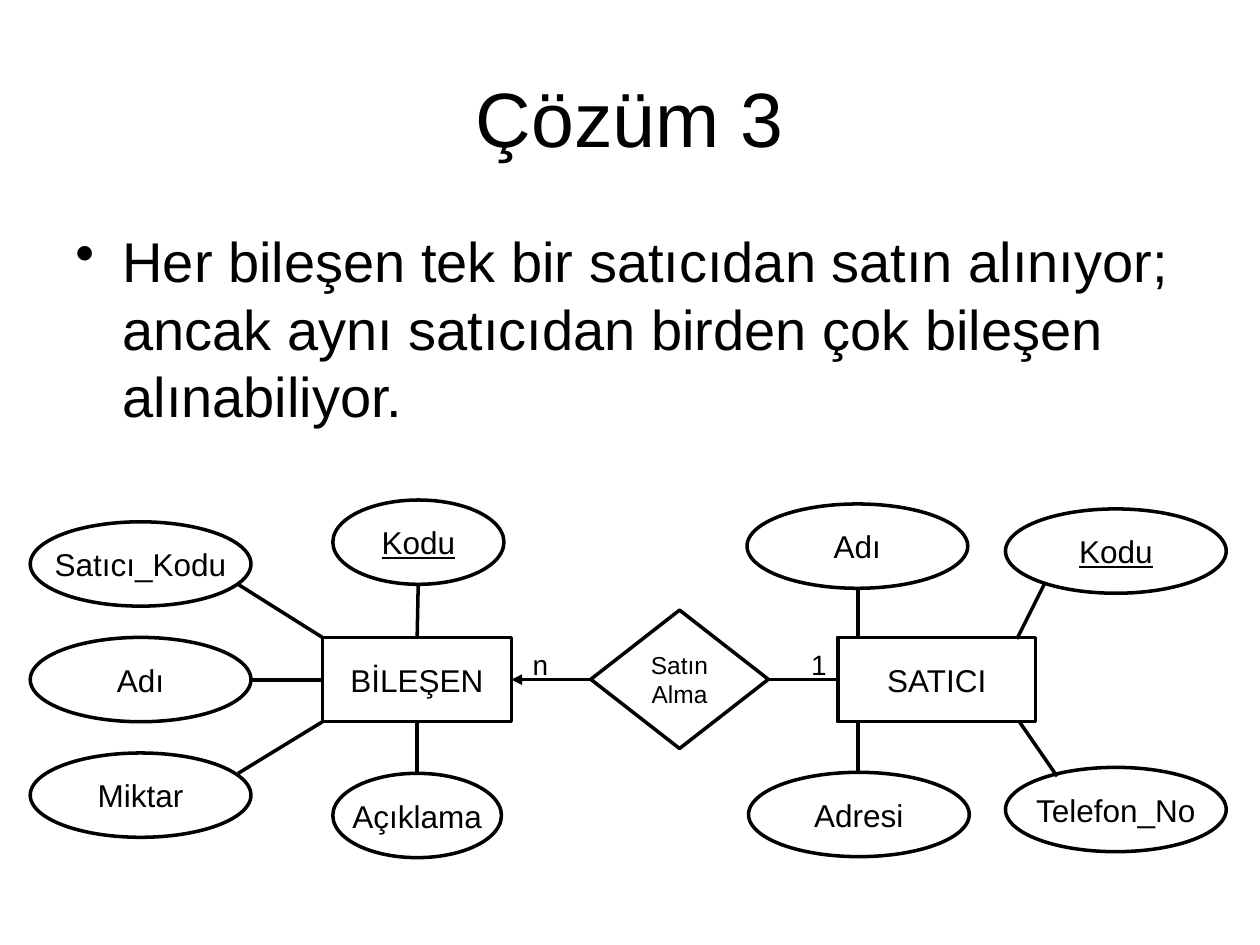
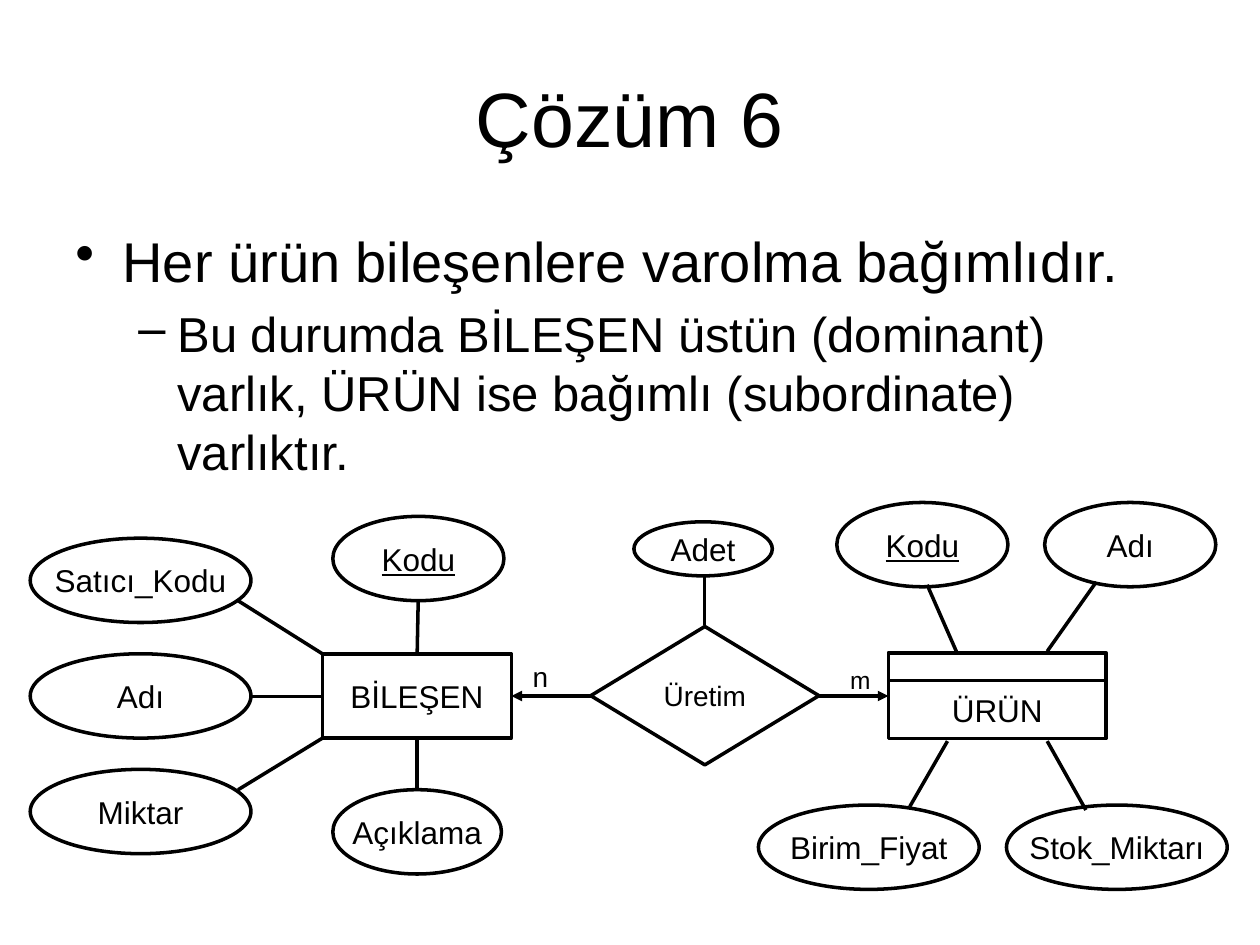
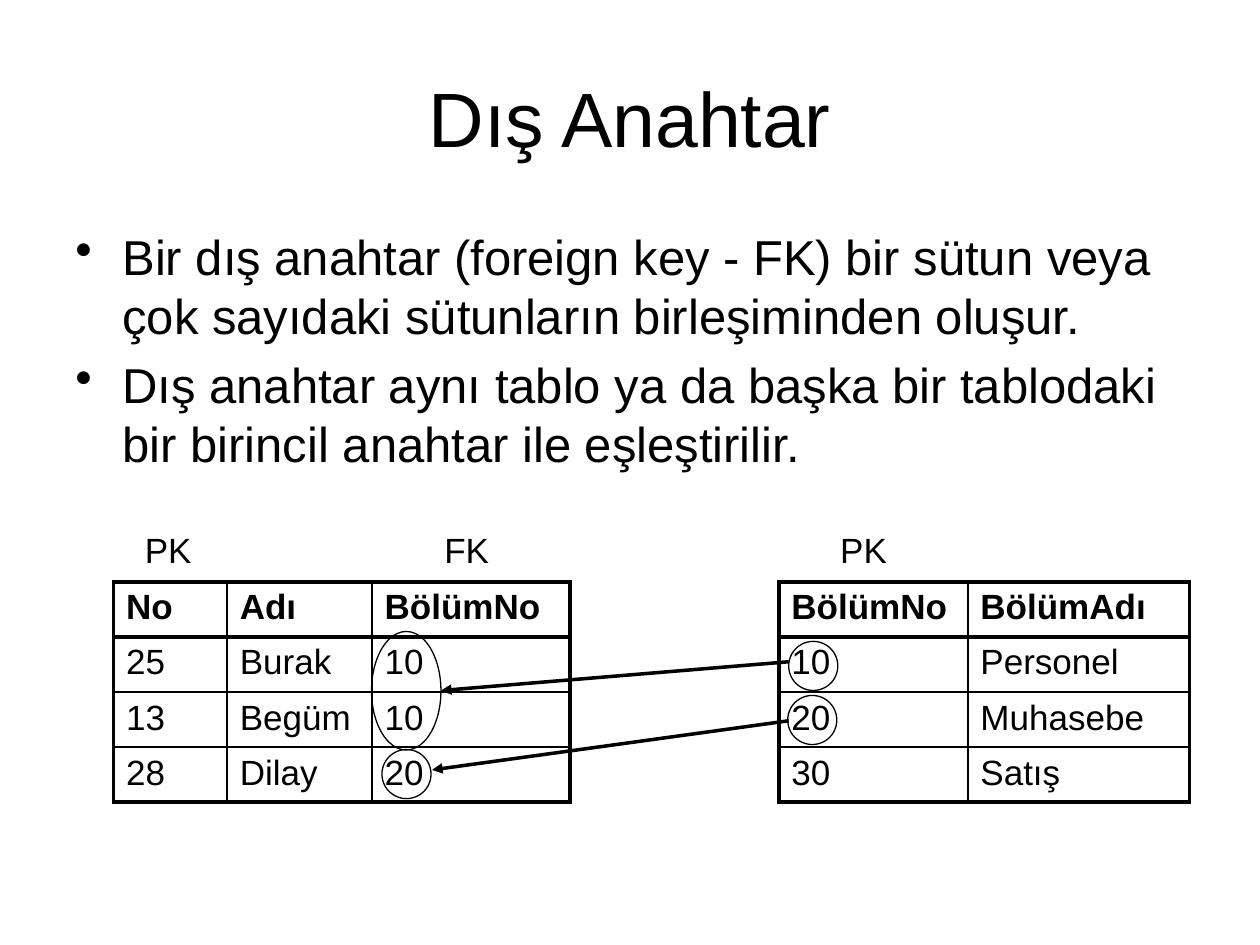
from lxml import etree
from pptx import Presentation
from pptx.dml.color import RGBColor
from pptx.enum import shapes, text
from pptx.oxml import ns
from pptx.util import Cm, Pt

BLACK = RGBColor(0x00, 0x00, 0x00)
FONT = "Arial"
KEY_ATTRIBUTE = "Kodu"
RECT = shapes.MSO_SHAPE.RECTANGLE
OVAL = shapes.MSO_SHAPE.OVAL
DIAMOND = shapes.MSO_SHAPE.DIAMOND
LEFT, CENTER = text.PP_ALIGN.LEFT, text.PP_ALIGN.CENTER
TOP, MIDDLE = text.MSO_ANCHOR.TOP, text.MSO_ANCHOR.MIDDLE


def add_box(page, kind, place, words="", size=18, align=CENTER, anchor=MIDDLE,
            wrap=False, weight=2):
    """Add an outlined shape, or a plain text box when kind is None."""
    place = [Cm(length) for length in place]
    if kind is None:
        box = page.shapes.add_textbox(*place)
    else:
        box = page.shapes.add_shape(kind, *place)
        box.shadow.inherit = False
        box.fill.background()
        box.line.color.rgb = BLACK
        box.line.width = Pt(weight)
    frame = box.text_frame
    frame.word_wrap = wrap
    frame.vertical_anchor = anchor
    if words:
        frame.text = words
        para = frame.paragraphs[0]
        para.alignment = align
        span = para.runs[0].font
        span.name, span.size, span.color.rgb = FONT, Pt(size), BLACK
        if words == KEY_ATTRIBUTE:
            span.underline = True
    return box


def add_line(page, start_x, start_y, end_x, end_y, arrow=False):
    line = page.shapes.add_connector(
        shapes.MSO_CONNECTOR.STRAIGHT, Cm(start_x), Cm(start_y), Cm(end_x), Cm(end_y))
    line.line.color.rgb = BLACK
    line.line.width = Pt(2)
    if arrow:
        etree.SubElement(line.line._ln, ns.qn("a:tailEnd"), type="triangle")
    etree.SubElement(line._element.spPr, ns.qn("a:effectLst"))


deck = Presentation()
deck.slide_width, deck.slide_height = Cm(25.4), Cm(19.05)

# Titles and bullets: (level, size, words)
contents = [
    ("Çözüm 3", 6.27, [
        (0, 32, "Her bileşen tek bir satıcıdan satın alınıyor; ancak aynı "
                "satıcıdan birden çok bileşen alınabiliyor.")]),
    ("Çözüm 6", 12.57, [
        (0, 32, "Her ürün bileşenlere varolma bağımlıdır."),
        (1, 28, "Bu durumda BİLEŞEN üstün (dominant) varlık, ÜRÜN ise bağımlı "
                "(subordinate) varlıktır.")]),
    ("Dış Anahtar", 6.07, [
        (0, 28, "Bir dış anahtar (foreign key - FK) bir sütun veya çok sayıdaki "
                "sütunların birleşiminden oluşur."),
        (0, 28, "Dış anahtar aynı tablo ya da başka bir tablodaki bir birincil "
                "anahtar ile eşleştirilir.")]),
]
bullet_styles = [("•", 0.95, -0.95), ("–", 2.06, -0.79)]  # mark, margin, indent

pages = []
for title, body_height, bullets in contents:
    page = deck.slides.add_slide(deck.slide_layouts[6])
    pages.append(page)
    add_box(page, None, (1.27, 0.76, 22.86, 3.18), title, 44, wrap=True)
    body = add_box(page, None, (1.27, 4.45, 22.86, body_height), anchor=TOP, wrap=True)
    for index, (level, size, words) in enumerate(bullets):
        frame = body.text_frame
        para = frame.add_paragraph() if index else frame.paragraphs[0]
        para.text = words
        para.level = level
        mark, margin, indent = bullet_styles[level]
        properties = para._p.get_or_add_pPr()
        properties.set("marL", str(Cm(margin)))
        properties.set("indent", str(Cm(indent)))
        etree.SubElement(properties, ns.qn("a:buChar"), char=mark)
        if index:
            para.space_before = Pt(size * 0.2)
        span = para.runs[0].font
        span.name, span.size, span.color.rgb = FONT, Pt(size), BLACK

supplier_page, product_page, key_page = pages

# BİLEŞEN entity with its attributes and relationship, shared by two slides
relationships = [
    (supplier_page, 12.85, "Satın Alma", 14, 3.58, False),
    (product_page, 13.18, "Üretim", 16, 4.6, True),
]
for page, top, relationship, size, width, arrow in relationships:
    add_box(page, RECT, (6.5, top, 3.81, 1.7), "BİLEŞEN")
    for row, attribute in enumerate(["Satıcı_Kodu", "Adı", "Miktar"]):
        add_box(page, OVAL, (0.61, top + 2.33 * (row - 1), 4.45, 1.7), attribute)
    add_box(page, OVAL, (6.71, top - 2.77, 3.45, 1.7), KEY_ATTRIBUTE)
    add_box(page, OVAL, (6.71, top + 2.74, 3.4, 1.7), "Açıklama")
    add_line(page, 4.8, top - 1.07, 6.5, top)
    add_line(page, 5.03, top + 0.86, 6.5, top + 0.86)
    add_line(page, 4.8, top + 2.74, 6.5, top + 1.7)
    add_line(page, 8.43, top - 1.05, 8.41, top - 0.03)
    add_line(page, 8.41, top + 1.72, 8.41, top + 2.72)
    add_box(page, DIAMOND, (11.91, top - 0.55, width, 2.79), relationship, size, wrap=True)
    middle, right = top + 0.85, 11.91 + width
    add_line(page, 11.91, middle, 10.31, middle, arrow=True)
    add_line(page, right, middle, right + 1.4, middle, arrow)

# Entities on the right-hand side and their attributes
right_shapes = [
    (supplier_page, [
        (RECT, (16.89, 12.85, 3.99, 1.7), "SATICI"),
        (OVAL, (15.06, 10.16, 4.45, 1.7), "Adı"),
        (OVAL, (20.27, 10.26, 4.45, 1.7), KEY_ATTRIBUTE),
        (OVAL, (15.09, 15.57, 4.45, 1.7), "Adresi"),
        (OVAL, (20.27, 15.47, 4.45, 1.7), "Telefon_No")]),
    (product_page, [
        (RECT, (17.91, 13.16, 4.39, 0.56), ""),
        (RECT, (17.91, 13.72, 4.39, 1.17), "ÜRÜN"),
        (OVAL, (16.87, 10.13, 3.45, 1.7), KEY_ATTRIBUTE),
        (OVAL, (21.06, 10.13, 3.45, 1.7), "Adı"),
        (OVAL, (15.29, 16.23, 4.45, 1.7), "Birim_Fiyat"),
        (OVAL, (20.29, 16.23, 4.45, 1.7), "Stok_Miktarı"),
        (OVAL, (12.78, 10.52, 2.79, 1.09), "Adet")]),
]
for page, entries in right_shapes:
    for kind, place, words in entries:
        add_box(page, kind, place, words)

right_lines = [
    (supplier_page, [
        (17.3, 11.86, 17.3, 12.88), (21.06, 11.76, 20.5, 12.88),
        (17.3, 14.55, 17.3, 15.57), (20.55, 14.55, 21.31, 15.65)]),
    (product_page, [
        (18.69, 11.79, 19.3, 13.18), (22.1, 11.73, 21.11, 13.13),
        (19.1, 14.94, 18.34, 16.26), (21.11, 14.94, 21.89, 16.33),
        (14.2, 11.61, 14.2, 12.6)]),
]
for page, ends in right_lines:
    for points in ends:
        add_line(page, *points)

cardinalities = [
    (supplier_page, 10.49, 12.93, "n", 16), (supplier_page, 16.1, 12.93, "1", 16),
    (product_page, 10.49, 13.18, "n", 16), (product_page, 16.89, 13.28, "m", 14),
]
for page, left, top, words, size in cardinalities:
    add_box(page, None, (left, top, 0.79, 0.94), words, size, LEFT, TOP, wrap=True)

# Tables joined by a foreign key
ROW_HEIGHT = 1.11
tables = [
    (2.29, [2.29, 2.92, 3.99], [
        ["No", "Adı", "BölümNo"], ["25", "Burak", "10"],
        ["13", "Begüm", "10"], ["28", "Dilay", "20"]]),
    (15.7, [3.81, 4.47], [
        ["BölümNo", "BölümAdı"], ["10", "Personel"],
        ["20", "Muhasebe"], ["30", "Satış"]]),
]
for left, widths, records in tables:
    table = key_page.shapes.add_table(
        len(records), len(widths), Cm(left), Cm(11.73),
        Cm(sum(widths)), Cm(ROW_HEIGHT * len(records))).table
    table.first_row = table.horz_banding = False
    for column, width in zip(table.columns, widths):
        column.width = Cm(width)
    last_row, last_column = len(records) - 1, len(widths) - 1
    for row, record in enumerate(records):
        table.rows[row].height = Cm(ROW_HEIGHT)
        for column, words in enumerate(record):
            cell = table.cell(row, column)
            cell.text = words
            span = cell.text_frame.paragraphs[0].runs[0].font
            span.name, span.size, span.color.rgb = FONT, Pt(20), BLACK
            span.bold = row == 0
            thick_edges = {
                "lnL": column == 0, "lnR": column == last_column,
                "lnT": row <= 1, "lnB": row in (0, last_row)}
            properties = cell._tc.get_or_add_tcPr()
            for edge, thick in thick_edges.items():
                border = etree.SubElement(
                    properties, ns.qn("a:" + edge), w=str(Pt(2.25 if thick else 1)))
                fill = etree.SubElement(border, ns.qn("a:solidFill"))
                etree.SubElement(fill, ns.qn("a:srgbClr"), val=str(BLACK))
            cell.fill.background()

for left, words in [(2.49, "PK"), (8.51, "FK"), (16.51, "PK")]:
    add_box(key_page, None, (left, 10.52, 1.8, 1.09), words, 20, anchor=TOP, wrap=True)
for ring in [(7.49, 12.73, 1.4, 2.39), (7.7, 15.11, 0.99, 0.99),
             (15.9, 12.93, 0.99, 0.99), (15.88, 14.02, 0.99, 0.99)]:
    add_box(key_page, OVAL, ring, weight=0.75)
add_line(key_page, 15.9, 13.34, 8.89, 13.92, arrow=True)
add_line(key_page, 15.9, 14.53, 8.71, 15.52, arrow=True)

deck.save("out.pptx")
